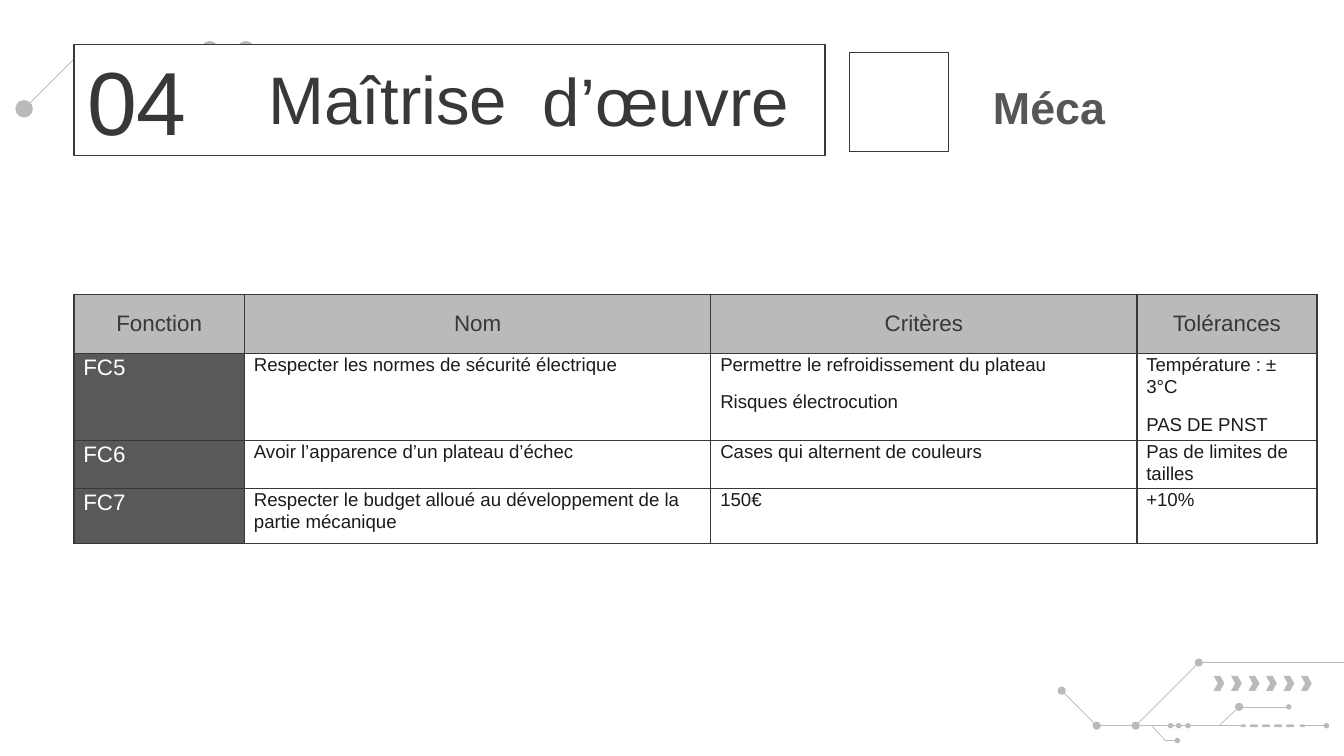
import pptx
import pptx.dml.color
import pptx.enum.shapes
import pptx.enum.text
import pptx.oxml
import pptx.oxml.ns
import pptx.util
from pptx.util import Inches

COLORS = {"trace": "BABABA", "ink": "383838", "subject": "565656", "label": "595959",
          "body": "1C1C1C", "white": "FFFFFF"}
SHAPES = pptx.enum.shapes.MSO_SHAPE
ANCHOR = pptx.enum.text.MSO_ANCHOR
ALIGN = pptx.enum.text.PP_ALIGN

# Widescreen slide, 16:9
presentation = pptx.Presentation()
presentation.slide_width = Inches(10)
presentation.slide_height = Inches(10 * 9 / 16)
slide = presentation.slides.add_slide(presentation.slide_layouts[6])


def add_block(kind, left, top, width, height, fill, line=None):
    shape = slide.shapes.add_shape(kind, Inches(left), Inches(top), Inches(width), Inches(height))
    shape.shadow.inherit = False
    shape.fill.solid()
    shape.fill.fore_color.rgb = pptx.dml.color.RGBColor.from_string(COLORS[fill])
    if line:
        shape.line.color.rgb = pptx.dml.color.RGBColor.from_string(COLORS[line])
        shape.line.width = pptx.util.Pt(0.75)
    else:
        shape.line.fill.background()
    return shape


def write_text(paragraph, text, size, color, bold=False, align=ALIGN.LEFT):
    paragraph.alignment = align
    run = paragraph.add_run()
    run.text = text
    run.font.name = "Arial"
    run.font.size = pptx.util.Pt(size)
    run.font.bold = bold
    run.font.color.rgb = pptx.dml.color.RGBColor.from_string(COLORS[color])


# Circuit traces: each is a chain of points
traces = [
    [(0.18, 0.81), (0.62, 0.37)],
    [(7.9, 5.14), (8.16, 5.4), (9.24, 5.4)],
    [(9.7, 5.4), (9.87, 5.4)],
    [(8.57, 5.4), (8.67, 5.51), (8.76, 5.51)],
    [(9.07, 5.4), (9.22, 5.26), (9.59, 5.26)],
    [(8.45, 5.4), (8.92, 4.93), (10, 4.93)],
]
for points in traces:
    for (x1, y1), (x2, y2) in zip(points, points[1:]):
        connector = slide.shapes.add_connector(
            pptx.enum.shapes.MSO_CONNECTOR.STRAIGHT, Inches(x1), Inches(y1), Inches(x2), Inches(y2))
        connector.line.color.rgb = pptx.dml.color.RGBColor.from_string(COLORS["trace"])
        connector.line.width = pptx.util.Pt(0.4)
        properties = connector._element.spPr
        properties.append(pptx.oxml.parse_xml(
            "<a:effectLst %s/>" % pptx.oxml.ns.nsdecls("a")))

# Circuit nodes, grouped by diameter
nodes = {
    0.13: [(0.18, 0.81), (1.56, 0.37), (1.83, 0.37)],
    0.06: [(7.9, 5.14), (9.22, 5.26), (8.16, 5.4), (8.92, 4.93), (8.45, 5.4)],
    0.04: [(9.87, 5.4), (8.76, 5.51), (9.59, 5.26), (8.71, 5.4), (8.77, 5.4), (8.84, 5.4)],
}
for diameter, centers in nodes.items():
    for x, y in centers:
        add_block(SHAPES.OVAL, x - diameter / 2, y - diameter / 2, diameter, diameter, "trace")

# Dashes along the lower trace
dashes = [(9.23, 0.04)] + [(9.3 + 0.09 * step, 0.06) for step in range(4)] + [(9.67, 0.04)]
for left, width in dashes:
    dash = add_block(SHAPES.ROUNDED_RECTANGLE, left, 5.39, width, 0.02, "trace")
    dash.adjustments[0] = 0.5

# Row of chevrons
for step in range(6):
    chevron = add_block(SHAPES.CHEVRON, 9.03 + 0.13 * step, 5.03, 0.08, 0.11, "trace")
    chevron.adjustments[0] = 0.38

# Title: framed number, two words and subject
number_frame = add_block(SHAPES.RECTANGLE, 0.55, 0.33, 5.59, 0.83, "white", "ink")
frame = number_frame.text_frame
frame.margin_left = frame.margin_right = frame.margin_top = frame.margin_bottom = Inches(0.1)
frame.vertical_anchor = ANCHOR.MIDDLE
write_text(frame.paragraphs[0], "04", 48, "ink")

titles = [
    ("Maîtrise", 1.9, 0.33, 2.12, 0.76, 36, "ink", False, ALIGN.LEFT, ANCHOR.TOP),
    ("d’œuvre", 3.94, 0.34, 2.19, 0.76, 36, "ink", False, ALIGN.LEFT, ANCHOR.TOP),
    ("Méca", 7.19, 0.55, 1.23, 0.49, 24, "subject", True, ALIGN.CENTER, ANCHOR.MIDDLE),
]
for text, left, top, width, height, size, color, bold, align, anchor in titles:
    box = slide.shapes.add_textbox(Inches(left), Inches(top), Inches(width), Inches(height))
    frame = box.text_frame
    frame.word_wrap = True
    frame.margin_left = frame.margin_right = frame.margin_top = frame.margin_bottom = Inches(0.1)
    frame.vertical_anchor = anchor
    write_text(frame.paragraphs[0], text, size, color, bold, align)

add_block(SHAPES.RECTANGLE, 6.32, 0.39, 0.74, 0.74, "white", "ink")

# Table of functions: each cell is a list of paragraphs
rows = [
    [["Fonction"], ["Nom"], ["Critères"], ["Tolérances"]],
    [["FC5"], ["Respecter les normes de sécurité électrique"],
     ["Permettre le refroidissement du plateau", "Risques électrocution"],
     ["Température : ± 3°C", "PAS DE PNST"]],
    [["FC6"], ["Avoir l’apparence d’un plateau d’échec"],
     ["Cases qui alternent de couleurs"], ["Pas de limites de tailles"]],
    [["FC7"], ["Respecter le budget alloué au développement de la partie mécanique"],
     ["150€"], ["+10%"]],
]
column_widths = [1.27, 3.47, 3.17, 1.34]
row_heights = [0.44, 0.58, 0.31, 0.41]
table = slide.shapes.add_table(len(rows), len(column_widths), Inches(0.55), Inches(2.19),
                               Inches(sum(column_widths)), Inches(sum(row_heights))).table
table.first_row = False
table.horz_banding = False
for column, width in zip(table.columns, column_widths):
    column.width = Inches(width)
for row, height in zip(table.rows, row_heights):
    row.height = Inches(height)

thick_edges = {(0, 0, side) for side in "LRTB"} | {(0, 1, "L"), (1, 0, "T")}
for row_index, row in enumerate(rows):
    for column_index, texts in enumerate(row):
        cell = table.cell(row_index, column_index)
        header = row_index == 0
        label = column_index == 0 and not header

        for side in "LRTB":
            points = 1 if (row_index, column_index, side) in thick_edges else 0.75
            cell._tc.get_or_add_tcPr().append(pptx.oxml.parse_xml(
                '<a:ln%s %s w="%d"><a:solidFill><a:srgbClr val="%s"/></a:solidFill></a:ln%s>'
                % (side, pptx.oxml.ns.nsdecls("a"), pptx.util.Pt(points), COLORS["ink"], side)))

        fill = "trace" if header else "label" if label else "white"
        cell.fill.solid()
        cell.fill.fore_color.rgb = pptx.dml.color.RGBColor.from_string(COLORS[fill])
        cell.margin_left = cell.margin_right = Inches(0.1 if header else 0.07)
        cell.margin_top = cell.margin_bottom = Inches(0.07 if header else 0)
        cell.vertical_anchor = ANCHOR.MIDDLE if header else ANCHOR.TOP

        for index, text in enumerate(texts):
            frame = cell.text_frame
            paragraph = frame.add_paragraph() if index else frame.paragraphs[0]
            if header:
                write_text(paragraph, text, 12, "ink", align=ALIGN.CENTER)
            else:
                paragraph.line_spacing = 1.07
                paragraph.space_after = pptx.util.Pt(8)
                write_text(paragraph, text, 12 if label else 10, "white" if label else "body")

presentation.save("out.pptx")
